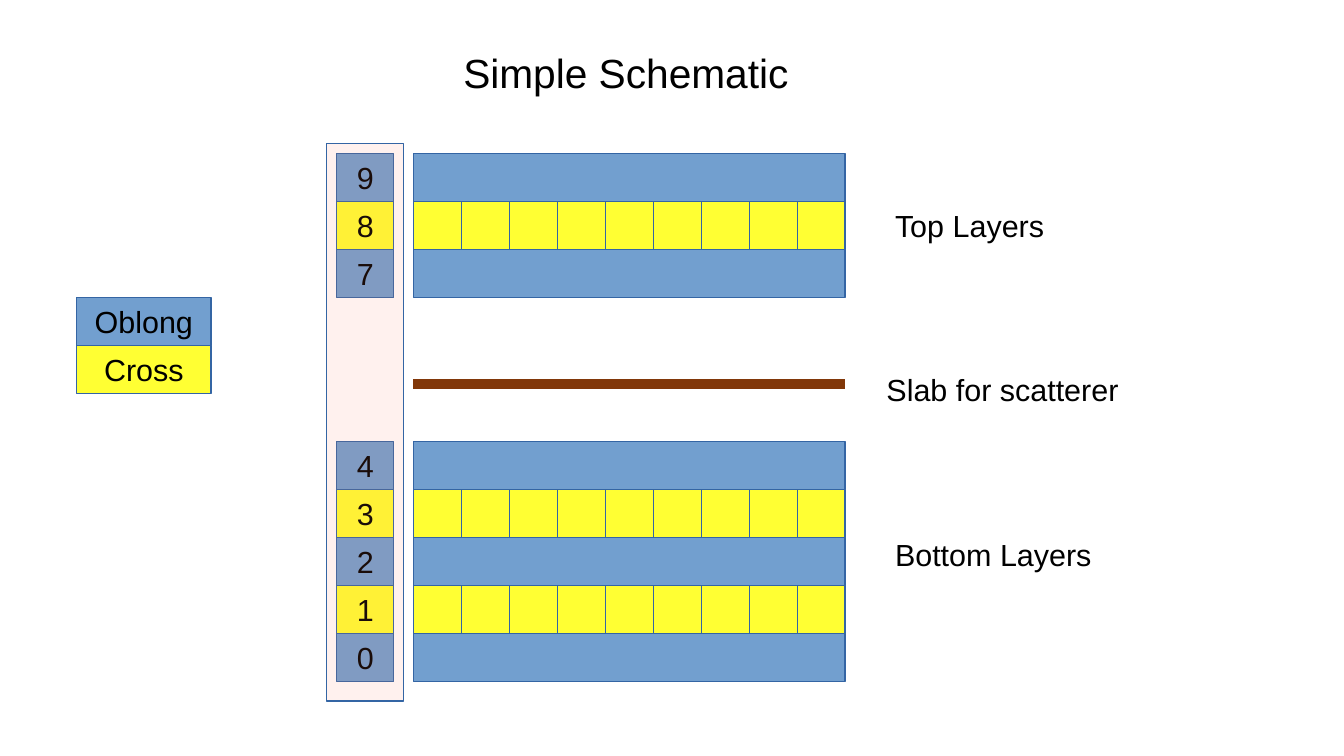
from dataclasses import dataclass

from lxml import etree
from pptx import Presentation, util as u
from pptx.dml.color import RGBColor
from pptx.enum import shapes, text
from pptx.oxml import ns


@dataclass(frozen=True)
class Theme:
    """Colours and type sizes of the schematic."""
    font: str = "Arial"
    ink: str = "000000"
    outline: str = "3465A4"
    oblong: tuple = ("729FCF", 100)
    cross: tuple = ("FFFF00", 80)
    panel: tuple = ("FF7B59", 10)
    slab: str = "813709"
    title_size: int = 24
    body_size: int = 18
    outline_width: float = 0.75
    slab_width: float = 5.67


THEME = Theme()
SLOTS = ("9", "8", "7", None, None, None, "4", "3", "2", "1", "0")
CROSS_LAYERS = ("8", "3", "1")
BARS_PER_LAYER = 9


def layer_fill(layer):
    """Return the fill that marks a layer as cross or oblong."""
    return THEME.cross if layer in CROSS_LAYERS else THEME.oblong


def layer_boxes(left, top, width, height):
    """Yield each layer's name with its box within the stack."""
    row = height / len(SLOTS)
    for slot, layer in enumerate(SLOTS):
        if layer:
            yield layer, (left, top + slot * row, width, row)


def write(frame, words, size):
    """Put words into a text frame in the theme's font."""
    frame.text = words
    font = frame.paragraphs[0].runs[0].font
    font.name, font.size = THEME.font, u.Pt(size)
    font.color.rgb = RGBColor.from_string(THEME.ink)


def add_block(parent, box, fill, words=None):
    """Add an outlined rectangle, with centred words if given."""
    block = parent.shapes.add_shape(shapes.MSO_SHAPE.RECTANGLE, *map(u.Inches, box))
    block.shadow.inherit = False
    colour, opacity = fill
    block.fill.solid()
    block.fill.fore_color.rgb = RGBColor.from_string(colour)
    if opacity < 100:
        tint = block.fill._xPr.find(".//" + ns.qn("a:srgbClr"))
        etree.SubElement(tint, ns.qn("a:alpha")).set("val", str(opacity * 1000))
    block.line.color.rgb = RGBColor.from_string(THEME.outline)
    block.line.width = u.Pt(THEME.outline_width)
    if words:
        frame = block.text_frame
        write(frame, words, THEME.body_size)
        frame.word_wrap = False
        frame.vertical_anchor = text.MSO_ANCHOR.MIDDLE
        frame.paragraphs[0].alignment = text.PP_ALIGN.CENTER


def add_layers(page, box):
    """Draw oblong layers as one bar and cross layers as a row of bars."""
    group = page.shapes.add_group_shape()
    for layer, (left, top, width, height) in layer_boxes(*box):
        count = BARS_PER_LAYER if layer in CROSS_LAYERS else 1
        bar = width / count
        for index in range(count):
            add_block(group, (left + index * bar, top, bar, height), layer_fill(layer))


def add_legend(page, box):
    """Stack the two kinds of layer in the box."""
    left, top, width, height = box
    group = page.shapes.add_group_shape()
    kinds = (("Oblong", THEME.oblong), ("Cross", THEME.cross))
    row = height / len(kinds)
    for index, (name, fill) in enumerate(kinds):
        add_block(group, (left, top + index * row, width, row), fill, name)


def add_numbers(page, box, panel):
    """Number the layers in the box and veil them with the panel."""
    group = page.shapes.add_group_shape()
    for layer, cell in layer_boxes(*box):
        add_block(group, cell, layer_fill(layer), layer)
    add_block(group, panel, THEME.panel)


def add_slab(page, left, right, height):
    """Draw the scatterer slab as a thick level line."""
    slab = page.shapes.add_connector(
        shapes.MSO_CONNECTOR.STRAIGHT, *map(u.Inches, (left, height, right, height)))
    slab.line.color.rgb = RGBColor.from_string(THEME.slab)
    slab.line.width = u.Pt(THEME.slab_width)
    etree.SubElement(slab._element.spPr, ns.qn("a:effectLst"))


def add_label(page, box, words, size=THEME.body_size):
    """Add a wrapped text box."""
    frame = page.shapes.add_textbox(*map(u.Inches, box)).text_frame
    frame.word_wrap = True
    write(frame, words, size)


def build_schematic(page):
    """Place the layers, legend, numbers, slab and labels on the page."""
    add_layers(page, (3.39, 1.26, 3.54, 4.33))
    add_legend(page, (0.63, 2.44, 1.1, 0.79))
    add_numbers(page, (2.76, 1.26, 0.47, 4.33), (2.68, 1.18, 0.63, 4.57))
    add_slab(page, 3.39, 6.93, 3.15)
    add_label(page, (7.17, 2.99, 2.28, 0.38), "Slab for scatterer")
    add_label(page, (7.24, 1.65, 2.28, 0.38), "Top Layers")
    add_label(page, (7.24, 4.35, 2.28, 0.38), "Bottom Layers")
    add_label(page, (3.7, 0.34, 3.62, 0.84), "Simple Schematic", THEME.title_size)


def main():
    """Build and save the deck."""
    deck = Presentation()
    deck.slide_width, deck.slide_height = u.Inches(11.02), u.Inches(6.2)
    build_schematic(deck.slides.add_slide(deck.slide_layouts[6]))
    deck.save("out.pptx")


if __name__ == "__main__":
    main()
